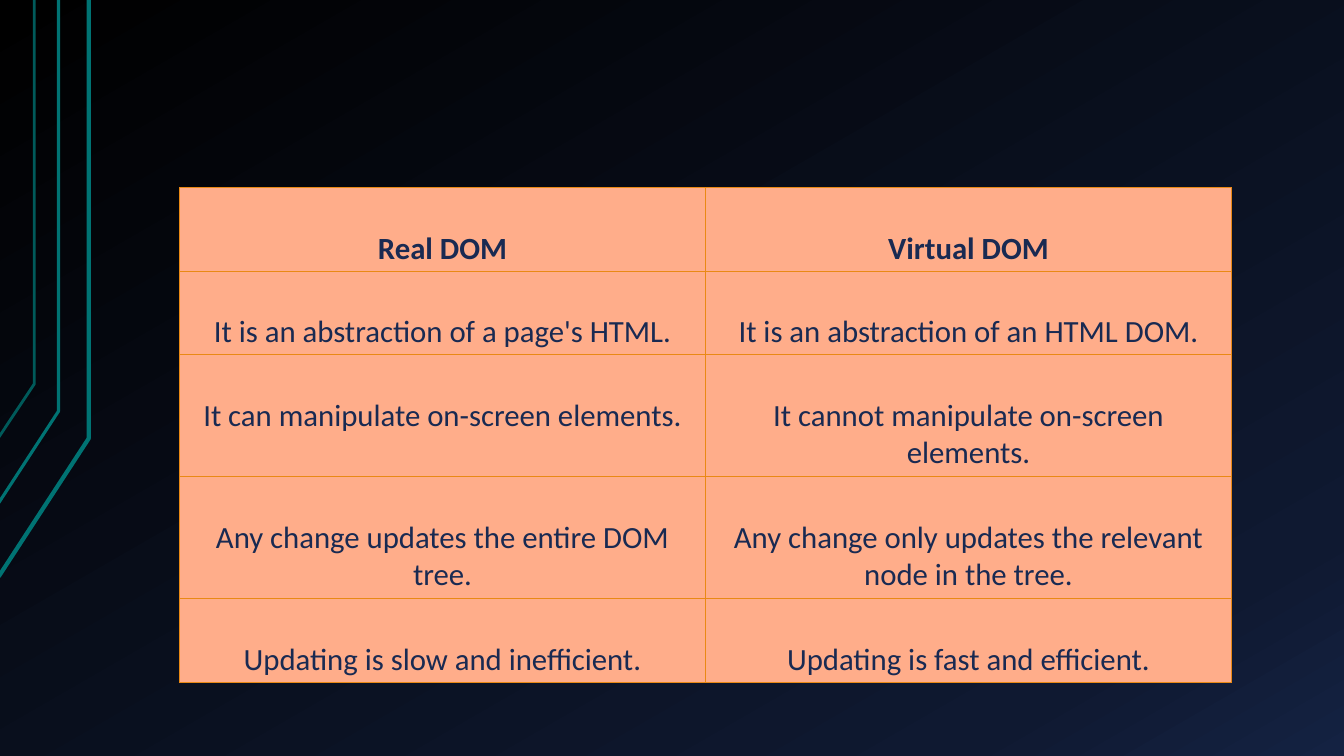
from copy import deepcopy
from dataclasses import dataclass

from lxml.etree import SubElement
from pptx import Presentation
from pptx.dml.color import RGBColor as Color
from pptx.enum.text import MSO_ANCHOR as Anchor, PP_ALIGN as Align
from pptx.oxml.ns import qn
from pptx.slide import Slide
from pptx.table import _Cell as Cell
from pptx.util import Inches, Pt

SLIDE_WIDTH, SLIDE_HEIGHT = Inches(13.33), Inches(7.5)


@dataclass(frozen=True)
class Theme:
    """Colours and type sizes of the slide."""
    font: str = "Calibri"
    text_size: float = 22
    text: str = "192A52"
    cell: str = "FFAD8A"
    border: str = "E98915"
    border_width: float = 0.75
    line: str = "007373"
    faded_line: str = "005A5A"
    gradient: tuple = ((0, "000000"), (0.85, "0F1931"), (1, "142242"))
    gradient_angle: float = 300


@dataclass(frozen=True)
class BentLine:
    """A line from the top edge that bends to the left edge, in percent."""
    bend_x: float
    bend_y: float
    end_y: float
    width: float
    color: str


@dataclass(frozen=True)
class Comparison:
    """One table row, its height in percent of the slide."""
    real: str
    virtual: str
    height: float
    bold: bool = False


THEME = Theme()
SHORT_ROW, TALL_ROW = 11.07, 16.13
TABLE_LEFT, TABLE_TOP, TABLE_WIDTH = 13.36, 24.8, 78.27

BENT_LINES = (
    BentLine(6.6, 58, 76.27, 3, THEME.line),
    BentLine(4.35, 54.4, 66.53, 2.25, THEME.line),
    BentLine(2.55, 50.8, 57.87, 2, THEME.faded_line),
)
COMPARISONS = (
    Comparison("Real DOM", "Virtual DOM", SHORT_ROW, bold=True),
    Comparison("It is an abstraction of a page's HTML.",
               "It is an abstraction of an HTML DOM.", SHORT_ROW),
    Comparison("It can manipulate on-screen elements.",
               "It cannot manipulate on-screen elements.", TALL_ROW),
    Comparison("Any change updates the entire DOM tree.",
               "Any change only updates the relevant node in the tree.", TALL_ROW),
    Comparison("Updating is slow and inefficient.",
               "Updating is fast and efficient.", SHORT_ROW),
)


def across(percent: float) -> int:
    """Turn a share of the slide's width into a length."""
    return round(SLIDE_WIDTH * percent / 100)


def down(percent: float) -> int:
    """Turn a share of the slide's height into a length."""
    return round(SLIDE_HEIGHT * percent / 100)


def paint_background(slide: Slide) -> None:
    """Fill the background with the theme's three-stop gradient."""
    fill = slide.background.fill
    fill.gradient()
    fill.gradient_angle = THEME.gradient_angle
    stop_list = next(slide.element.iter(qn("a:gsLst")))
    stop_list.insert(1, deepcopy(stop_list[0]))
    for stop, (position, color) in zip(fill.gradient_stops, THEME.gradient):
        stop.position = position
        stop.color.rgb = Color.from_string(color)


def draw_bent_line(slide: Slide, line: BentLine) -> None:
    """Draw one open bent line at the left edge."""
    builder = slide.shapes.build_freeform(across(-0.1), down(line.end_y))
    bend_x = across(line.bend_x)
    builder.add_line_segments(
        [(bend_x, down(line.bend_y)), (bend_x, 0)], close=False)
    shape = builder.convert_to_shape()
    shape.shadow.inherit = False
    shape.fill.background()
    shape.line.color.rgb = Color.from_string(line.color)
    shape.line.width = Pt(line.width)


def add_borders(cell: Cell) -> None:
    """Put a thin border on the four sides of a cell."""
    properties = cell._tc.get_or_add_tcPr()
    for index, side in enumerate(("lnL", "lnR", "lnT", "lnB")):
        border = properties.makeelement(
            qn(f"a:{side}"), {"w": str(Pt(THEME.border_width))})
        fill = SubElement(border, qn("a:solidFill"))
        SubElement(fill, qn("a:srgbClr"), val=THEME.border)
        properties.insert(index, border)


def write_cell(cell: Cell, text: str, bold: bool) -> None:
    """Fill a cell and set its text one line below the top."""
    cell.fill.solid()
    cell.fill.fore_color.rgb = Color.from_string(THEME.cell)
    add_borders(cell)
    cell.margin_left = cell.margin_right = Inches(0.09)
    cell.margin_top, cell.margin_bottom = Inches(0.42), Inches(0.03)
    cell.vertical_anchor = Anchor.TOP
    cell.text = text
    paragraph = cell.text_frame.paragraphs[0]
    paragraph.alignment = Align.CENTER
    font = paragraph.font
    font.name, font.size, font.bold = THEME.font, Pt(THEME.text_size), bold
    font.color.rgb = Color.from_string(THEME.text)


def draw_table(slide: Slide) -> None:
    """Draw the comparison table."""
    height = sum(row.height for row in COMPARISONS)
    table = slide.shapes.add_table(
        len(COMPARISONS), 2, across(TABLE_LEFT), down(TABLE_TOP),
        across(TABLE_WIDTH), down(height)).table
    table.first_row = table.horz_banding = False
    for index, comparison in enumerate(COMPARISONS):
        table.rows[index].height = down(comparison.height)
        for column, text in enumerate((comparison.real, comparison.virtual)):
            write_cell(table.cell(index, column), text, comparison.bold)


def main() -> None:
    """Build and save the slide."""
    presentation = Presentation()
    presentation.slide_width = SLIDE_WIDTH
    presentation.slide_height = SLIDE_HEIGHT
    slide = presentation.slides.add_slide(presentation.slide_layouts[6])
    paint_background(slide)
    for line in BENT_LINES:
        draw_bent_line(slide, line)
    draw_table(slide)
    presentation.save("out.pptx")


main()
